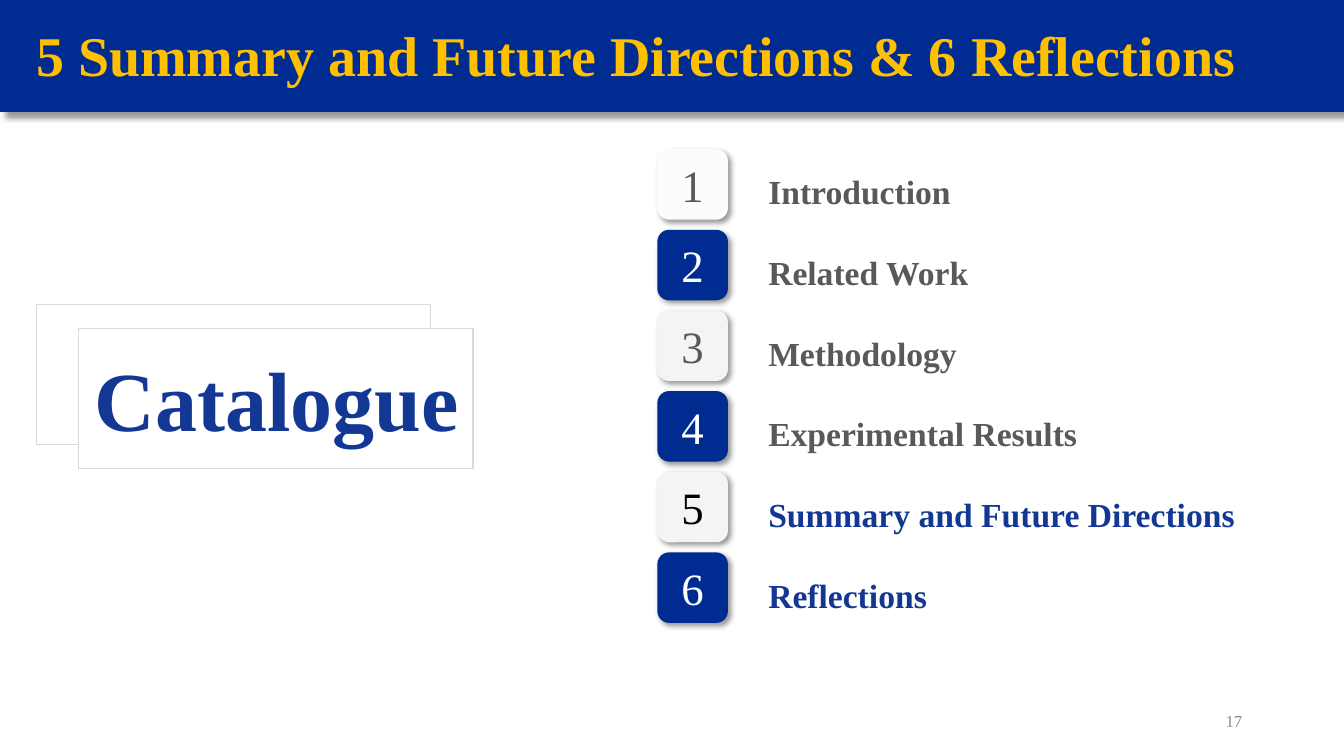
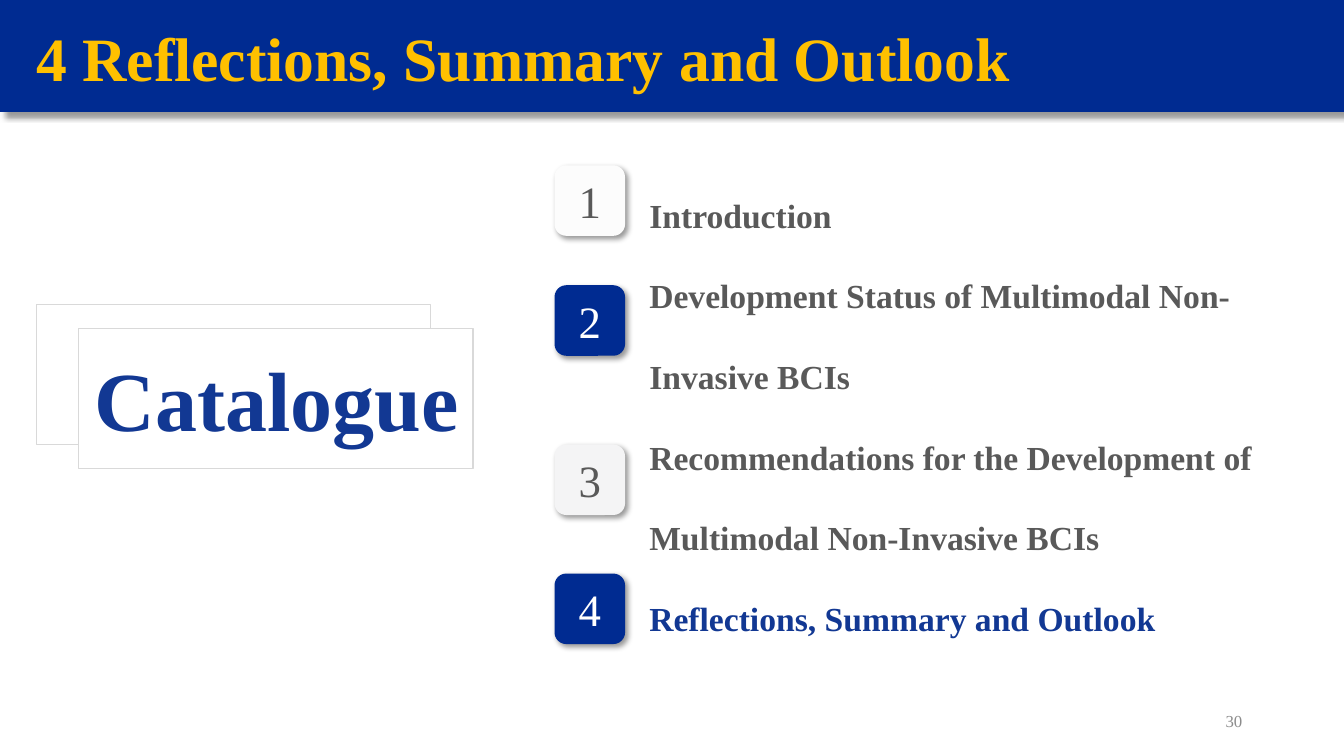
from dataclasses import dataclass

from lxml import etree
from pptx import Presentation
from pptx.dml.color import RGBColor
from pptx.enum.shapes import MSO_SHAPE
from pptx.enum.text import MSO_ANCHOR, PP_ALIGN
from pptx.oxml.ns import qn
from pptx.util import Inches, Pt

RECT, ROUNDED = MSO_SHAPE.RECTANGLE, MSO_SHAPE.ROUNDED_RECTANGLE
LEFT, CENTER, RIGHT = PP_ALIGN.LEFT, PP_ALIGN.CENTER, PP_ALIGN.RIGHT
TOP, MIDDLE = MSO_ANCHOR.TOP, MSO_ANCHOR.MIDDLE


@dataclass(frozen=True)
class Theme:
    font: str = "Times New Roman"
    band: str = "002B91"
    title: str = "FFC000"
    accent: str = "123893"
    body: str = "595959"
    footer: str = "8C8C8C"
    outline: str = "D9D9D9"
    white: str = "FFFFFF"
    black: str = "000000"
    first_tile: str = "FCFCFC"
    pale_tile: str = "F4F4F5"
    catalogue_size: int = 60
    title_size: int = 40
    large_title_size: int = 44
    number_size: int = 32
    body_size: int = 24
    footer_size: int = 12


THEME = Theme()
PAGE_WIDTH = 13.33
TILE_SIZE = 0.7


def color(code):
    return RGBColor.from_string(code)


def style_font(font, size, code, bold=False):
    font.name = THEME.font
    font.size = Pt(size)
    font.bold = bold
    font.color.rgb = color(code)


def add_shadow(shape, distance):
    """Add a soft black shadow towards the lower right; distance is in points."""
    effects = shape.element.spPr.find(qn("a:effectLst"))
    shadow = etree.SubElement(effects, qn("a:outerShdw"), blurRad=str(Pt(4)),
                              dist=str(Pt(distance)), dir="2700000",
                              algn="tl", rotWithShape="0")
    tint = etree.SubElement(shadow, qn("a:srgbClr"), val=THEME.black)
    etree.SubElement(tint, qn("a:alpha"), val="40000")


def add_panel(page, kind, left, top, width, height, fill, line=None, shadow=None):
    panel = page.shapes.add_shape(kind, Inches(left), Inches(top),
                                  Inches(width), Inches(height))
    panel.shadow.inherit = False
    panel.fill.solid()
    panel.fill.fore_color.rgb = color(fill)
    if line:
        panel.line.color.rgb = color(line)
        panel.line.width = Pt(1)
    else:
        panel.line.fill.background()
    if shadow:
        add_shadow(panel, shadow)
    return panel


def add_label(page, text, left, top, width, height, size, code,
              bold=False, align=LEFT, anchor=TOP):
    box = page.shapes.add_textbox(Inches(left), Inches(top),
                                  Inches(width), Inches(height))
    frame = box.text_frame
    frame.word_wrap = True
    frame.vertical_anchor = anchor
    frame.text = text
    for para in frame.paragraphs:
        para.alignment = align
        style_font(para.font, size, code, bold)
    return box


def add_number_tile(page, number, left, top, number_color):
    """Add a numbered tile: even ones are blue, odd ones pale."""
    if number % 2 == 0:
        fill, number_color = THEME.band, THEME.white
    else:
        fill = THEME.first_tile if number == 1 else THEME.pale_tile
    tile = add_panel(page, ROUNDED, left, top, TILE_SIZE, TILE_SIZE, fill, shadow=3)
    frame = tile.text_frame
    frame.margin_left = frame.margin_right = 0
    frame.vertical_anchor = MIDDLE
    frame.text = str(number)
    para = frame.paragraphs[0]
    para.alignment = CENTER
    style_font(para.font, THEME.number_size, number_color)


def add_topics(page, topics, current, left, top, width, height):
    """List the topics, with those in current picked out in the accent colour."""
    box = add_label(page, "\n".join(topics), left, top, width, height,
                    THEME.body_size, THEME.body, bold=True)
    frame = box.text_frame
    frame.margin_left = frame.margin_right = Inches(0.13)
    frame.margin_top = frame.margin_bottom = Inches(0.07)
    for number, para in enumerate(frame.paragraphs, 1):
        para.line_spacing = 2.0
        if number in current:
            para.font.color.rgb = color(THEME.accent)


def add_catalogue(page):
    for left, top in ((0.36, 3.02), (0.78, 3.26)):
        add_panel(page, RECT, left, top, 3.91, 1.39, THEME.white, line=THEME.outline)
    add_label(page, "Catalogue", 0.78, 3.4, 3.93, 1.11,
              THEME.catalogue_size, THEME.accent, bold=True, align=CENTER)


def add_agenda_page(deck, title, title_size, page_number, topics, current,
                    topics_at, tile_left, tile_tops, number_colors):
    page = deck.slides.add_slide(deck.slide_layouts[6])
    add_panel(page, RECT, 0, 0, PAGE_WIDTH, 1.11, THEME.band, shadow=5)
    add_label(page, title, 0.26, 0.15, 12.6, 0.92, title_size, THEME.title, bold=True)
    add_topics(page, topics, current, *topics_at)
    add_catalogue(page)
    for number, top in enumerate(tile_tops, 1):
        add_number_tile(page, number, tile_left, top,
                        number_colors.get(number, THEME.body))
    add_label(page, str(page_number), 9.42, 6.95, 3, 0.4,
              THEME.footer_size, THEME.footer, align=RIGHT, anchor=MIDDLE)


def main():
    deck = Presentation()
    deck.slide_width = Inches(PAGE_WIDTH)
    deck.slide_height = Inches(7.5)

    add_agenda_page(
        deck, "5 Summary and Future Directions & 6 Reflections",
        THEME.title_size, 17,
        ["Introduction", "Related Work", "Methodology", "Experimental Results",
         "Summary and Future Directions", "Reflections"],
        current={5, 6}, topics_at=(7.49, 1.23, 4.93, 5.17), tile_left=6.52,
        tile_tops=[1.48 + 0.8 * row for row in range(6)],
        number_colors={5: THEME.black})

    add_agenda_page(
        deck, "4 Reflections, Summary and Outlook",
        THEME.large_title_size, 30,
        ["Introduction",
         "Development Status of Multimodal Non-Invasive BCIs",
         "Recommendations for the Development of Multimodal Non-Invasive BCIs",
         "Reflections, Summary and Outlook"],
        current={4}, topics_at=(6.31, 1.46, 6.92, 4.98), tile_left=5.5,
        tile_tops=[1.64, 2.83, 4.41, 5.69], number_colors={})

    deck.save("out.pptx")


if __name__ == "__main__":
    main()
